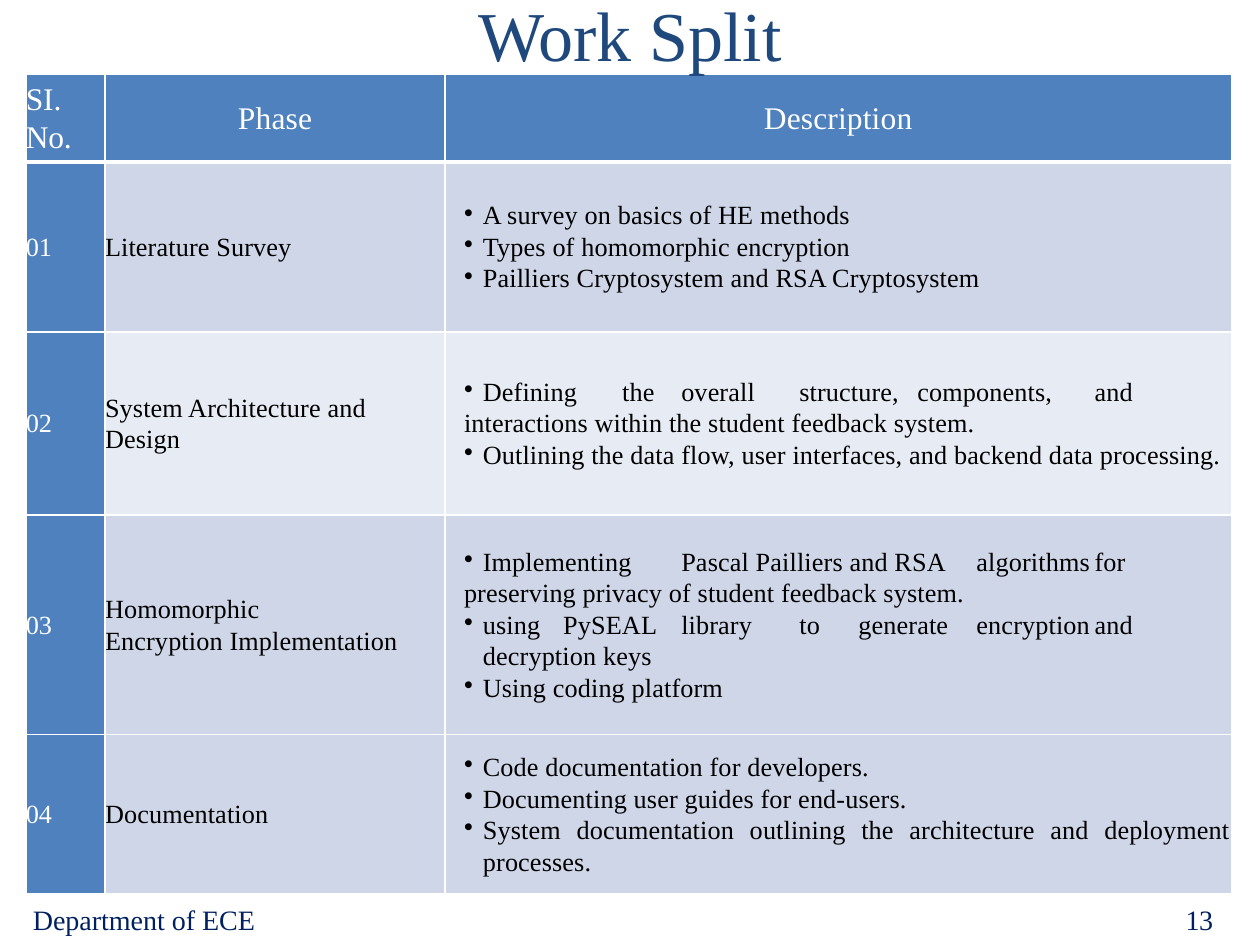
from dataclasses import dataclass

from lxml import etree
from pptx import Presentation
from pptx.dml.color import RGBColor
from pptx.enum.text import MSO_ANCHOR, MSO_AUTO_SIZE, PP_ALIGN
from pptx.oxml.ns import qn
from pptx.util import Inches, Pt

LEFT, CENTER, JUSTIFY = PP_ALIGN.LEFT, PP_ALIGN.CENTER, PP_ALIGN.JUSTIFY
MIDDLE = MSO_ANCHOR.MIDDLE
GROW = MSO_AUTO_SIZE.SHAPE_TO_FIT_TEXT
WIDTH, HEIGHT = Inches(10.67), Inches(8)


@dataclass(frozen=True)
class Theme:
    font: str = "Times New Roman"
    white: str = "FFFFFF"
    black: str = "000000"
    title: str = "1F497D"
    footer: str = "002060"
    header: str = "4E81BD"
    band: str = "CFD6E7"
    pale: str = "E7ECF4"
    title_size: float = 42.7
    header_size: float = 19.2
    body_size: float = 16
    footer_size: float = 17.1


THEME = Theme()

# Boxes are left, top, width, height in percent of the slide.
TITLE_BOX = (0.94, -0.88, 98.13, 10)
TABLE_BOX = (2.06, 7.88, 95.69, 86.75)
DEPARTMENT_BOX = (2.62, 95.5, 19.96, 4)
NUMBER_BOX = (94.1, 95.5, 3.56, 4)

COLUMN_SHARES = (0.67, 2.88, 6.66)
ROW_SHARES = (0.74, 1.44, 1.55, 1.86, 1.35)

HEADINGS = (["SI.", "No."], ["Phase"], ["Description"])
# Phase lines, description lines (a leading bullet marks a list item), fill
PHASES = [
    (["Literature Survey"],
     ["•A survey on basics of HE methods",
      "•Types of homomorphic encryption",
      "•Pailliers Cryptosystem and RSA Cryptosystem"], THEME.band),
    (["System Architecture and", "Design"],
     ["•Defining\tthe\toverall\tstructure,\tcomponents,\tand",
      "interactions within the student feedback system.",
      "•Outlining the data flow, user interfaces, and backend data processing."],
     THEME.pale),
    (["Homomorphic", "Encryption Implementation"],
     ["•Implementing\tPascal Pailliers and RSA\talgorithms\tfor",
      "preserving privacy of student feedback system.",
      "•using\tPySEAL\tlibrary\tto\tgenerate\tencryption\tand decryption keys",
      "•Using coding platform"], THEME.band),
    (["Documentation"],
     ["•Code documentation for developers.",
      "•Documenting user guides for end-users.",
      "•System documentation outlining the architecture and deployment processes."],
     THEME.band),
]


def to_lengths(box):
    return [int(share * side / 100)
            for share, side in zip(box, (WIDTH, HEIGHT) * 2)]


def set_bullet(p, char):
    pPr = p._p.get_or_add_pPr()
    pPr.set("marL", str(Inches(0.32)))
    pPr.set("indent", str(Inches(-0.16)))
    if char:
        etree.SubElement(pPr, qn("a:buChar"), char=char)
    else:
        etree.SubElement(pPr, qn("a:buNone"))


def write(tf, lines, size, color, align=LEFT, leading=(18.5, 19.2),
          tracking=0, listed=False):
    """Fill a text frame; leading holds the first and the later line pitch."""
    for i, line in enumerate(lines):
        p = tf.paragraphs[0] if i == 0 else tf.add_paragraph()
        p.alignment = align
        p.line_spacing = Pt(leading[min(i, 1)])
        if listed:
            p.level = 1
            set_bullet(p, "•" if line.startswith("•") else None)
        r = p.add_run()
        r.text = line.lstrip("•")
        r.font.name = THEME.font
        r.font.size = Pt(size)
        r.font.color.rgb = RGBColor.from_string(color)
        if tracking:
            r._r.get_or_add_rPr().set("spc", str(round(tracking * 100)))


def add_label(s, box, text, **fmt):
    tf = s.shapes.add_textbox(*to_lengths(box)).text_frame
    tf.word_wrap = True
    tf.auto_size = GROW
    tf.margin_left = tf.margin_top = tf.margin_right = tf.margin_bottom = 0
    write(tf, [text], **fmt)


def set_borders(cell, **widths):
    tcPr = cell._tc.get_or_add_tcPr()
    for i, side in enumerate("LRTB"):
        line = etree.Element(qn(f"a:ln{side}"), w=str(Pt(widths.get(side, 1))))
        fill = etree.SubElement(line, qn("a:solidFill"))
        etree.SubElement(fill, qn("a:srgbClr"), val=THEME.white)
        tcPr.insert(i, line)


def fill_cell(cell, lines, fill, borders, **fmt):
    cell.margin_left = cell.margin_top = cell.margin_right = cell.margin_bottom = 0
    cell.vertical_anchor = MIDDLE
    cell.fill.solid()
    cell.fill.fore_color.rgb = RGBColor.from_string(fill)
    set_borders(cell, **borders)
    write(cell.text_frame, lines, **fmt)


def add_phase_table(s, box):
    left, top, width, height = to_lengths(box)
    table = s.shapes.add_table(len(ROW_SHARES), len(COLUMN_SHARES),
                               left, top, width, height).table
    for column, share in zip(table.columns, COLUMN_SHARES):
        column.width = int(width * share / sum(COLUMN_SHARES))
    for row, share in zip(table.rows, ROW_SHARES):
        row.height = int(height * share / sum(ROW_SHARES))

    for j, lines in enumerate(HEADINGS):
        fill_cell(table.cell(0, j), lines, THEME.header, {"B": 3},
                  size=THEME.header_size, color=THEME.white,
                  align=CENTER if j else LEFT, leading=(22.2, 22.9),
                  tracking=0.1 if j else -0.1)

    for i, (phase, description, fill) in enumerate(PHASES, 1):
        borders = {"T": 3} if i == 1 else {}
        body = {"size": THEME.body_size, "align": JUSTIFY}
        fill_cell(table.cell(i, 0), [f"{i:02}"], THEME.header, borders,
                  color=THEME.white, tracking=-0.1, **body)
        fill_cell(table.cell(i, 1), phase, fill, borders,
                  color=THEME.black, tracking=0.1, **body)
        fill_cell(table.cell(i, 2), description, fill, borders,
                  color=THEME.black, tracking=0.1, listed=True, **body)


def add_footer(s):
    fmt = {"size": THEME.footer_size, "color": THEME.footer, "leading": (20.5,)}
    add_label(s, DEPARTMENT_BOX, "Department of ECE", **fmt)
    add_label(s, NUMBER_BOX, "13", tracking=-0.3, **fmt)


def main():
    prs = Presentation()
    prs.slide_width, prs.slide_height = WIDTH, HEIGHT
    s = prs.slides.add_slide(prs.slide_layouts[6])
    add_phase_table(s, TABLE_BOX)
    add_footer(s)
    add_label(s, TITLE_BOX, "Work Split", size=THEME.title_size,
              color=THEME.title, align=CENTER, leading=(51.2,))
    prs.save("out.pptx")


if __name__ == "__main__":
    main()
